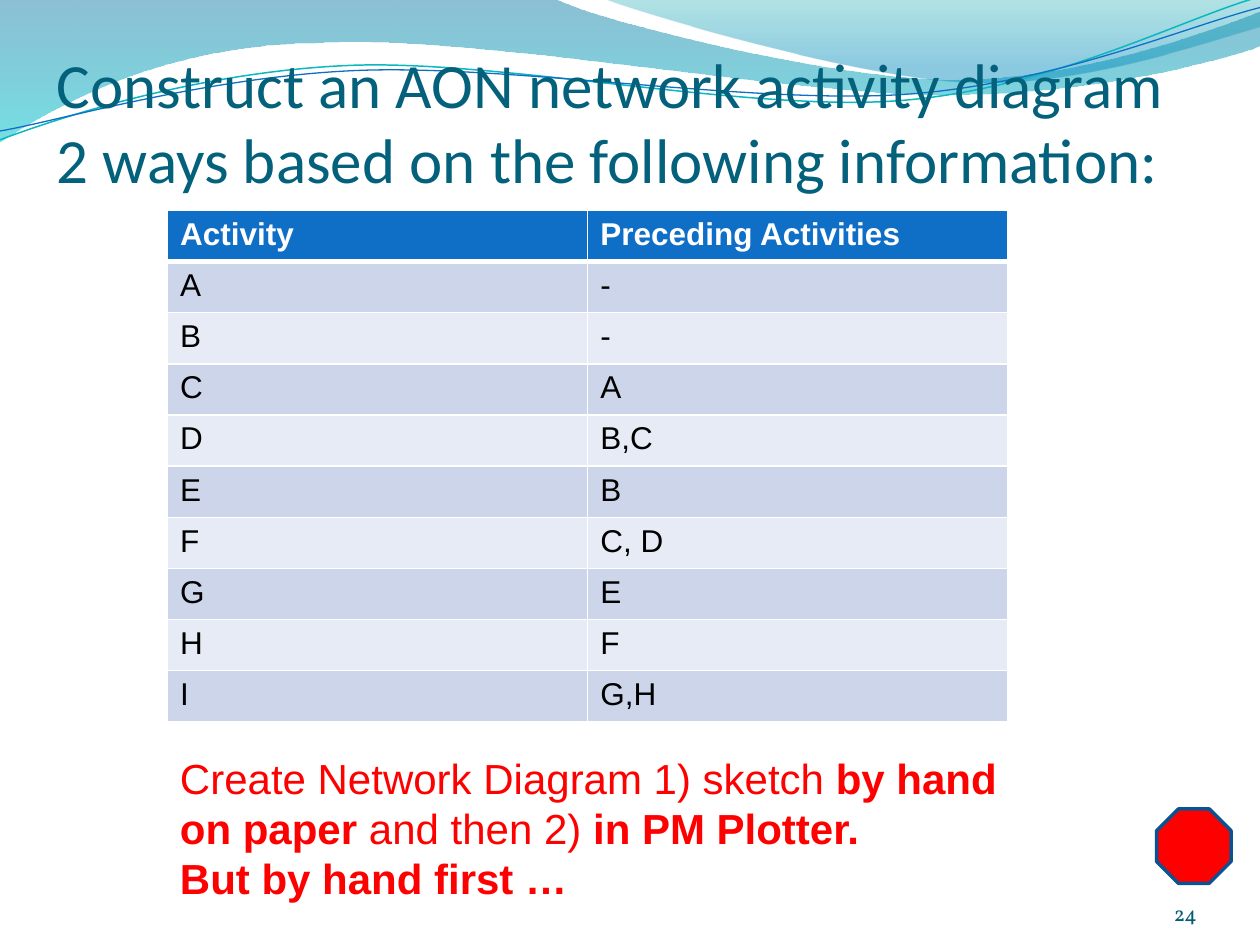
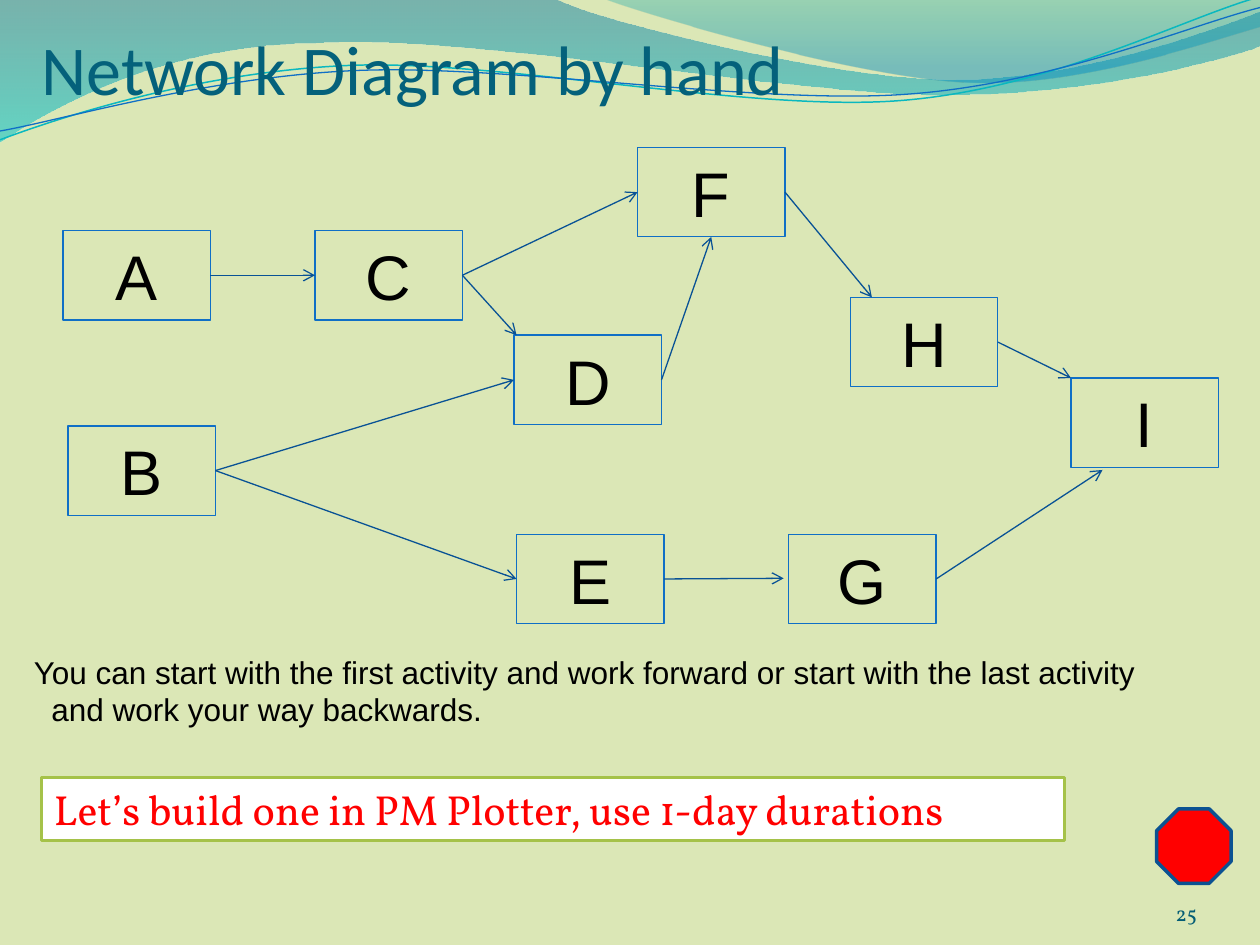
from dataclasses import dataclass

from lxml import etree
from pptx import Presentation
from pptx.dml.color import RGBColor
from pptx.enum import shapes as kinds, text as layout
from pptx.oxml import ns
from pptx.util import Inches, Pt


# Theme
@dataclass(frozen=True)
class Theme:
    sans: str = "Arial"
    heading: str = "Calibri"
    serif: str = "Vollkorn"
    title: str = "04617B"
    number: str = "045D75"
    blue: str = "0F6FC6"
    teal: str = "0AB8BF"
    arrow: str = "095295"
    stop_edge: str = "0B5292"
    green: str = "A5C249"
    red: str = "FF0000"
    black: str = "000000"
    white: str = "FFFFFF"
    stripes: tuple = ("E7EBF5", "CCD5EA")
    page_green: str = "DBE7B6"
    small: int = 12
    body: int = 18
    large: int = 24
    node: int = 36
    long_title: int = 36
    short_title: int = 40


T = Theme()

# Shared wave bands: a start point, then lines (x, y) or Bezier curves (6 numbers)
# Gradient stops are (position, colour, opacity)
BANDS = [
    {"stops": [(0, "0074A1", 45), (1, "00C6CF", 55)], "outline": [
        (0, -0.01), (4.4, -0.01), (4.76, 0.17, 6.64, 0.63, 7.58, 0.63),
        (8.53, 0.63, 9.58, 0.26, 10, 0.09), (10.01, 0.36),
        (9.83, 0.44, 8.7, 0.76, 7.46, 0.75), (6.22, 0.75, 3.82, 0.28, 2.57, 0.34),
        (1.29, 0.35, 0.46, 0.83, -0.01, 1.13)]},
    {"stops": [(0, "00A1A9", 30), (0.8, "008BBF", 45)], "outline": [
        (4.79, -0.01), (5.09, 0.11, 6.82, 0.62, 7.69, 0.65),
        (8.56, 0.69, 9.61, 0.32, 10, 0.21), (10, 0)]},
    {"line": (T.teal, 0.85), "outline": [
        (0, 1.11), (0.48, 0.93, 1.58, 0.57, 2.77, 0.52),
        (3.95, 0.47, 5.93, 0.89, 7.13, 0.8), (8.33, 0.71, 9.38, 0.15, 9.98, -0.02)]},
    {"line": (T.blue, 0.75), "outline": [
        (0, 1.04), (0.47, 0.96, 1.64, 0.61, 2.83, 0.56),
        (4.03, 0.51, 5.97, 0.83, 7.17, 0.75), (8.36, 0.67, 9.41, 0.21, 10, 0.06)]},
]

# Content of the exercise slide
EXERCISE_TITLE = "Construct an AON network activity diagram 2 ways based on the following information:"
ACTIVITIES = [
    ("Activity", "Preceding Activities"),
    ("A", "-"), ("B", "-"), ("C", "A"), ("D", "B,C"), ("E", "B"),
    ("F", "C, D"), ("G", "E"), ("H", "F"), ("I", "G,H"),
]
TASK = [
    [("Create Network Diagram 1) sketch ", False), ("by hand on paper ", True),
     ("and then 2) ", False), ("in PM Plotter.", True)],
    [("But by hand first …", True)],
]

# Content of the diagram slide
DIAGRAM_TITLE = "Network Diagram by hand"
NODE_SIZE = (1.17, 0.71)
NODES = {
    "A": (0.5, 1.83), "B": (0.54, 3.38), "C": (2.5, 1.83), "D": (4.08, 2.66),
    "E": (4.1, 4.24), "F": (5.06, 1.17), "G": (6.26, 4.24), "H": (6.75, 2.36),
    "I": (8.5, 3),
}
TOP, LEFT, BOTTOM, RIGHT = range(4)
# Every arrow leaves a right side and ends at a side or at a free point
ARROWS = [
    ("A", "C", LEFT), ("C", "D", (4.1, 2.66)), ("B", "D", LEFT), ("B", "E", LEFT),
    ("C", "F", LEFT), ("D", "F", BOTTOM), ("E", "G", (6.22, 4.59)),
    ("F", "H", (6.92, 2.36)), ("H", "I", (8.5, 3)), ("G", "I", (8.75, 3.73)),
]
ADVICE = [
    [("You can start with the first activity and work forward or start with the last activity", False)],
    [("and work your way backwards.", False)],
]
BUILD = [[("Let’s build one in PM Plotter, use 1-day durations", False)]]


# Helpers
def rgb(value):
    return RGBColor.from_string(value)


def box(*inches):
    return [Inches(v) for v in inches]


def style(paragraph, size, color, font, align=layout.PP_ALIGN.LEFT):
    paragraph.alignment = align
    for run in paragraph.runs:
        run.font.size, run.font.name = Pt(size), font
        run.font.color.rgb = rgb(color)


def write(frame, paragraphs, *look):
    frame.word_wrap = True
    for i, pieces in enumerate(paragraphs):
        paragraph = frame.add_paragraph() if i else frame.paragraphs[0]
        for words, bold in pieces:
            run = paragraph.add_run()
            run.text, run.font.bold = words, bold
        style(paragraph, *look)


def paint(shape, fill=None, line=None):
    shape.shadow.inherit = False
    if fill:
        shape.fill.solid()
        shape.fill.fore_color.rgb = rgb(fill)
    else:
        shape.fill.background()
    if line:
        shape.line.color.rgb, shape.line.width = rgb(line[0]), Pt(line[1])
    else:
        shape.line.fill.background()


def draw_wave(slide, outline, closed):
    """Build the outline from its end points, then bend the curved parts."""
    start, *parts = outline
    builder = slide.shapes.build_freeform(*box(*start))
    builder.add_line_segments([box(*part[-2:]) for part in parts], close=closed)
    wave = builder.convert_to_shape()
    segments = list(wave.element.iter(ns.qn("a:lnTo")))
    for segment, part in zip(segments, parts):
        if len(part) == 2:
            continue
        curve = etree.Element(ns.qn("a:cubicBezTo"))
        for x, y in zip(part[::2], part[1::2]):
            etree.SubElement(curve, ns.qn("a:pt"), x=str(Inches(x) - wave.left),
                             y=str(Inches(y) - wave.top))
        segment.getparent().replace(segment, curve)
    return wave


# Parts that the slides share
def add_bands(prs, slide):
    """Draw the waves and hand them to the slide master."""
    master = prs.slide_master.shapes.element
    for i, band in enumerate(BANDS):
        stops = band.get("stops", [])
        wave = draw_wave(slide, band["outline"], bool(stops))
        paint(wave, line=band.get("line"))
        if stops:
            wave.fill.gradient()
            wave.fill.gradient_angle = 270
            for stop, (position, color, _) in zip(wave.fill.gradient_stops, stops):
                stop.position, stop.color.rgb = position, rgb(color)
            for tint, (_, _, opacity) in zip(wave.element.spPr.iter(ns.qn("a:srgbClr")), stops):
                etree.SubElement(tint, ns.qn("a:alpha"), val=str(opacity * 1000))
        next(wave.element.iter(ns.qn("p:cNvPr"))).set("id", str(100 + i))
        master.insert(2 + i, wave.element)


def start_slide(prs, background, title, size, corner, number):
    slide = prs.slides.add_slide(prs.slide_layouts[5])
    slide.background.fill.solid()
    slide.background.fill.fore_color.rgb = rgb(background)

    heading = slide.shapes.title
    heading.left, heading.top, heading.width, heading.height = box(*corner, 9.08, 1.25)
    frame = heading.text_frame
    frame.text, frame.word_wrap = title, True
    frame.auto_size = layout.MSO_AUTO_SIZE.NONE
    frame.vertical_anchor = layout.MSO_ANCHOR.TOP
    frame.margin_left = frame.margin_right = frame.margin_bottom = 0
    frame.margin_top = Inches(0.05)
    style(frame.paragraphs[0], size, T.title, T.heading)

    page = slide.shapes.add_textbox(*box(8.67, 6.95, 0.83, 0.4)).text_frame
    page.text, page.word_wrap = str(number), True
    page.vertical_anchor = layout.MSO_ANCHOR.BOTTOM
    page.margin_left = page.margin_right = page.margin_top = page.margin_bottom = 0
    style(page.paragraphs[0], T.small, T.number, T.serif, layout.PP_ALIGN.RIGHT)

    stop_sign = slide.shapes.add_shape(kinds.MSO_SHAPE.OCTAGON, *box(9.18, 6.42, 0.59, 0.59))
    paint(stop_sign, T.red, (T.stop_edge, 2))
    return slide


# Exercise slide
def border(cell, bottom):
    props = cell._tc.get_or_add_tcPr()
    for side, points in (("L", 1), ("R", 1), ("T", 1), ("B", bottom)):
        edge = etree.SubElement(props, ns.qn(f"a:ln{side}"), w=str(Pt(points)))
        solid = etree.SubElement(edge, ns.qn("a:solidFill"))
        etree.SubElement(solid, ns.qn("a:srgbClr"), val=T.white)


def add_activities(slide):
    table = slide.shapes.add_table(len(ACTIVITIES), 2, *box(1.33, 1.67, 6.67, 4.06)).table
    for r, names in enumerate(ACTIVITIES):
        header = r == 0
        for c, name in enumerate(names):
            cell = table.cell(r, c)
            cell.text = name
            border(cell, 3 if header else 1)
            cell.fill.solid()
            cell.fill.fore_color.rgb = rgb(T.blue if header else T.stripes[r % 2])
            paragraph = cell.text_frame.paragraphs[0]
            style(paragraph, T.body, T.white if header else T.black, T.sans)
            paragraph.runs[0].font.bold = header


def build_exercise(prs):
    slide = start_slide(prs, T.white, EXERCISE_TITLE, T.long_title, (0.45, 0.31), 24)
    add_bands(prs, slide)
    add_activities(slide)
    task = slide.shapes.add_textbox(*box(1.33, 5.92, 6.99, 1.31))
    write(task.text_frame, TASK, T.large, T.red, T.sans)


# Diagram slide
def add_network(slide):
    nodes = {}
    for name, corner in NODES.items():
        node = slide.shapes.add_shape(kinds.MSO_SHAPE.RECTANGLE, *box(*corner, *NODE_SIZE))
        paint(node, line=(T.blue, 0.75))
        node.text_frame.text = name
        style(node.text_frame.paragraphs[0], T.node, T.black, T.sans, layout.PP_ALIGN.CENTER)
        nodes[name] = node

    for source, target, end in ARROWS:
        free = isinstance(end, tuple)
        arrow = slide.shapes.add_connector(
            kinds.MSO_CONNECTOR.STRAIGHT, 0, 0, *box(*(end if free else (0, 0))))
        arrow.begin_connect(nodes[source], RIGHT)
        if not free:
            arrow.end_connect(nodes[target], end)
        arrow.line.color.rgb, arrow.line.width = rgb(T.arrow), Pt(0.75)
        props = arrow.element.spPr
        etree.SubElement(props.find(ns.qn("a:ln")), ns.qn("a:tailEnd"), type="arrow")
        etree.SubElement(props, ns.qn("a:effectLst"))


def build_diagram(prs):
    slide = start_slide(prs, T.page_green, DIAGRAM_TITLE, T.short_title, (0.33, 0.15), 25)
    add_network(slide)

    advice = slide.shapes.add_textbox(*box(0.17, 5.13, 9.03, 0.71)).text_frame
    write(advice, ADVICE, T.body, T.black, T.sans)
    advice.paragraphs[1]._p.get_or_add_pPr().set("marL", str(Inches(0.14)))

    banner = slide.shapes.add_shape(kinds.MSO_SHAPE.RECTANGLE, *box(0.33, 6.17, 8.12, 0.5))
    paint(banner, T.white, (T.green, 2))
    write(banner.text_frame, BUILD, T.large, T.red, T.serif)


def main():
    prs = Presentation()
    prs.slide_width, prs.slide_height = box(10, 7.5)
    build_exercise(prs)
    build_diagram(prs)
    prs.save("out.pptx")


if __name__ == "__main__":
    main()
